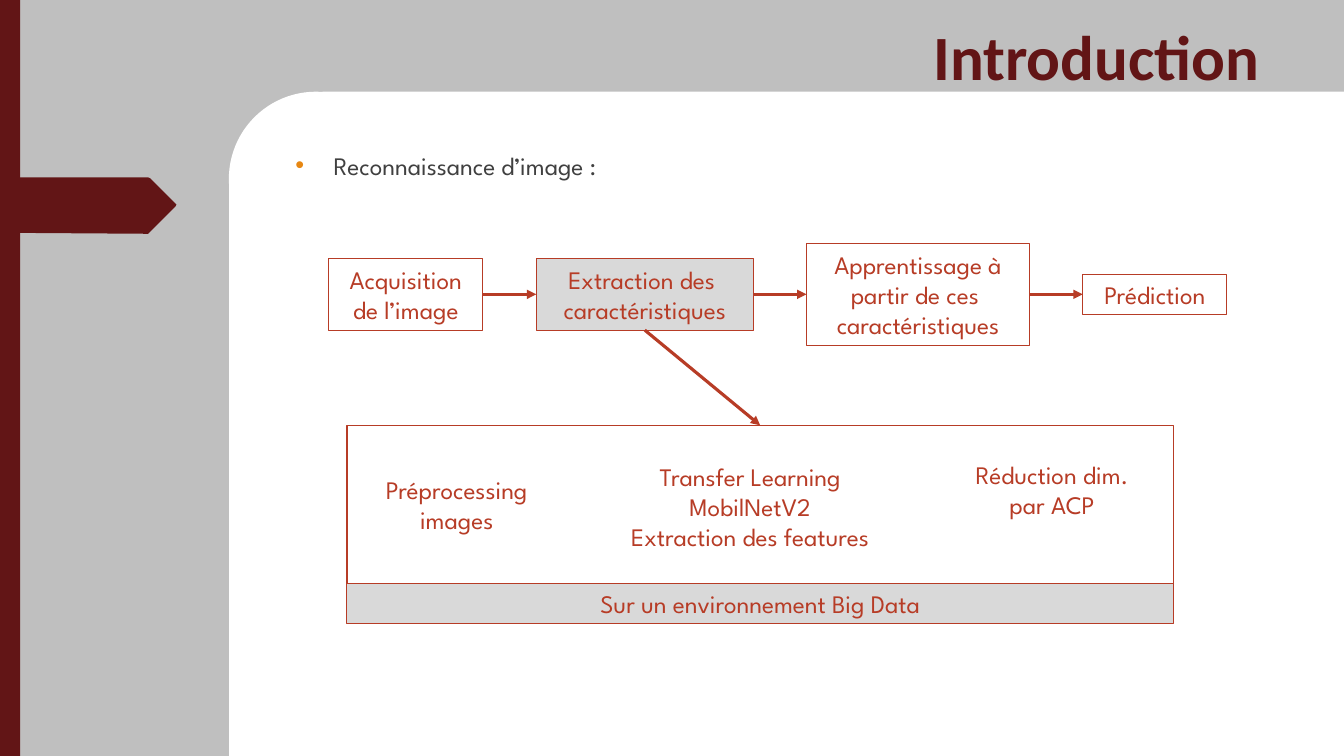
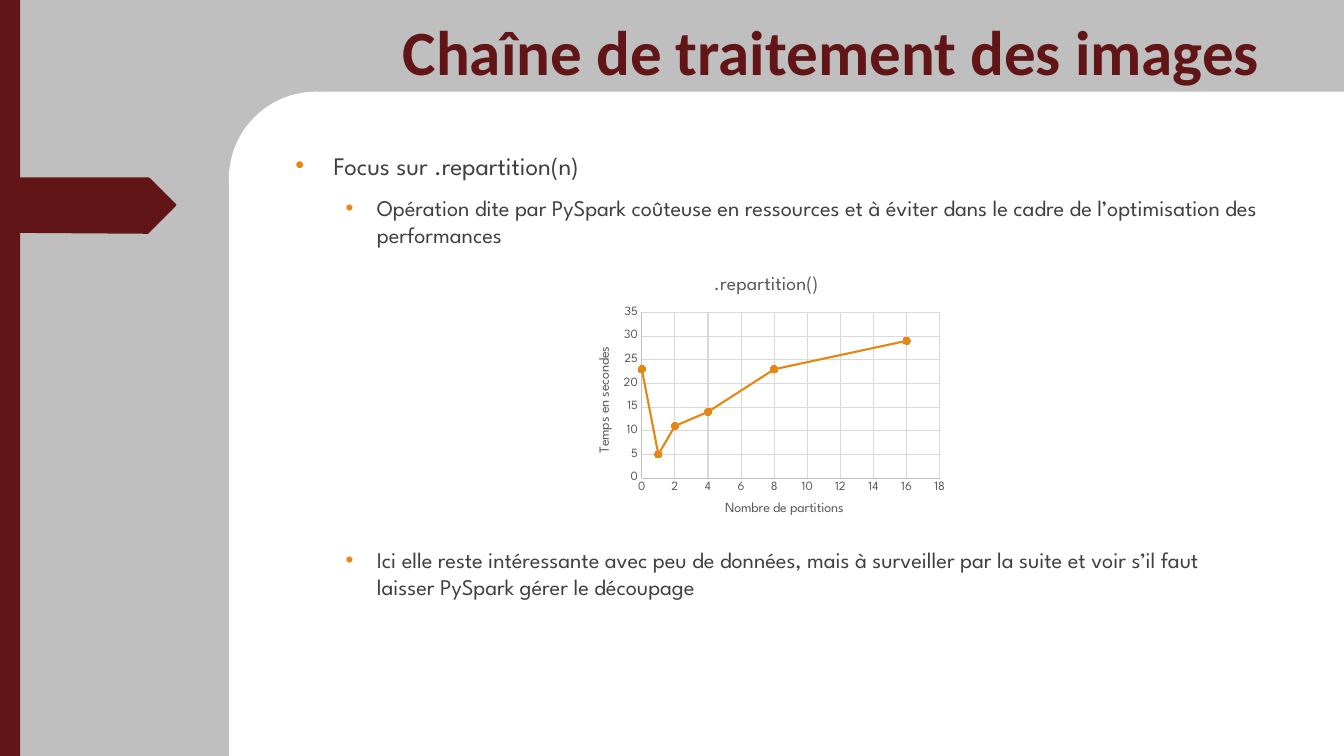
from dataclasses import dataclass

from lxml import etree
from pptx import Presentation
from pptx.chart.data import XyChartData
from pptx.dml.color import RGBColor
from pptx.enum.chart import XL_CHART_TYPE, XL_MARKER_STYLE, XL_TICK_MARK
from pptx.enum.shapes import MSO_CONNECTOR, MSO_SHAPE
from pptx.enum.text import MSO_ANCHOR, PP_ALIGN
from pptx.oxml.ns import qn
from pptx.util import Inches, Pt

RECTANGLE, ELLIPSE = MSO_SHAPE.RECTANGLE, MSO_SHAPE.OVAL
STRAIGHT = MSO_CONNECTOR.STRAIGHT
LEFT, CENTER, RIGHT = PP_ALIGN.LEFT, PP_ALIGN.CENTER, PP_ALIGN.RIGHT
TOP, MIDDLE = MSO_ANCHOR.TOP, MSO_ANCHOR.MIDDLE
SCATTER_LINES = XL_CHART_TYPE.XY_SCATTER_LINES
CIRCLE, NO_TICK = XL_MARKER_STYLE.CIRCLE, XL_TICK_MARK.NONE
SIDE_TOP, SIDE_LEFT, SIDE_BOTTOM, SIDE_RIGHT = range(4)


@dataclass(frozen=True)
class Theme:
    title_font: str = "Calibri"
    body_font: str = "League Spartan"
    white: str = "FFFFFF"
    band: str = "BFBFBF"
    dark_red: str = "621516"
    red: str = "B73C26"
    orange: str = "E78712"
    panel: str = "D9D9D9"
    text: str = "404040"
    chart_text: str = "595959"
    title_size: float = 45
    body_size: float = 18
    detail_size: float = 16
    chart_title_size: float = 14
    axis_title_size: float = 10
    tick_size: float = 9
    space_before: float = 10


TAG_OUTLINE = [(0, 1.76), (1.47, 1.76), (1.49, 1.77), (1.74, 2.02), (1.75, 2.03),
               (1.74, 2.05), (1.49, 2.3), (1.47, 2.32), (0, 2.31)]


def color(value):
    return RGBColor.from_string(value)


def inches(*values):
    return [Inches(value) for value in values]


def apply(target, values):
    for name, value in values.items():
        setattr(target, name, value)


class Deck:
    def __init__(self, theme):
        self.theme = theme
        self.deck = Presentation()
        self.deck.slide_width, self.deck.slide_height = inches(13.33, 7.5)
        self.page = None

    def new_page(self, title, title_top):
        theme = self.theme
        self.page = self.deck.slides.add_slide(self.deck.slide_layouts[6])
        for kind, at, fill in [
            (RECTANGLE, (0, -0.02, 2.27, 7.52), theme.band),
            (RECTANGLE, (2.01, 0.51, 1.19, 1.22), theme.band),
            (RECTANGLE, (1.97, -0.02, 11.38, 0.93), theme.band),
            (ELLIPSE, (2.27, 0.91, 1.73, 1.73), theme.white),
            (RECTANGLE, (0, 0, 0.2, 7.5), theme.dark_red),
        ]:
            self.shape(at, fill, kind=kind)
        self.tag()
        box = self.text_box((2.84, title_top, 9.75, 1.27))
        self.add_text(box.text_frame.paragraphs[0], title, theme.title_size,
                      theme.dark_red, theme.title_font, RIGHT, bold=True)

    def tag(self):
        points = [tuple(inches(*point)) for point in TAG_OUTLINE]
        builder = self.page.shapes.build_freeform(*points[0])
        builder.add_line_segments(points[1:])
        self.paint(builder.convert_to_shape(), self.theme.dark_red)

    def paint(self, shape, fill=None, line=None, width=0.75):
        shape.shadow.inherit = False
        for part, value in ((shape.fill, fill), (shape.line.fill, line)):
            if value:
                part.solid()
                part.fore_color.rgb = color(value)
            else:
                part.background()
        if line:
            shape.line.width = Pt(width)

    def shape(self, at, fill=None, line=None, width=0.75, kind=RECTANGLE):
        shape = self.page.shapes.add_shape(kind, *inches(*at))
        self.paint(shape, fill, line, width)
        return shape

    def text_box(self, at):
        box = self.page.shapes.add_textbox(*inches(*at))
        apply(box.text_frame, {"word_wrap": True, "vertical_anchor": TOP})
        return box

    def add_text(self, para, text, size, ink, font=None, align=LEFT, bold=False):
        para.alignment = align
        span = para.add_run()
        span.text = text
        self.style(span.font, size, ink, font, bold)

    def style(self, target, size, ink, font=None, bold=False):
        apply(target, {"name": font or self.theme.body_font, "size": Pt(size), "bold": bold})
        target.color.rgb = color(ink)

    def label(self, box, text):
        frame = box.text_frame
        apply(frame, {"word_wrap": False, "vertical_anchor": MIDDLE})
        for index, line in enumerate(text.split("\n")):
            para = frame.add_paragraph() if index else frame.paragraphs[0]
            self.add_text(para, line, self.theme.body_size, self.theme.red, align=CENTER)

    def box(self, at, text, fill=None):
        box = self.shape(at, fill, self.theme.red)
        self.label(box, text)
        return box

    def arrow(self, start, start_side, end, end_side):
        arrow = self.page.shapes.add_connector(STRAIGHT, 0, 0, 0, 0)
        arrow.begin_connect(start, start_side)
        arrow.end_connect(end, end_side)
        arrow.line.color.rgb = color(self.theme.red)
        arrow.line.width = Pt(2.25)
        outline = arrow._element.spPr.find(qn("a:ln"))
        etree.SubElement(outline, qn("a:tailEnd"), type="triangle")
        etree.SubElement(arrow._element.spPr, qn("a:effectLst"))

    def bullets(self, items):
        theme = self.theme
        frame = self.text_box((2.83, 1.44, 9.75, 5.02)).text_frame
        levels = [(theme.body_size, 0.38, -0.38), (theme.detail_size, 0.81, -0.31)]
        for index, (level, text, space) in enumerate(items):
            size, margin, indent = levels[level]
            para = frame.add_paragraph() if index else frame.paragraphs[0]
            self.add_text(para, text, size, theme.text)
            apply(para, {"level": level, "space_before": Pt(space)})
            properties = para._p.get_or_add_pPr()
            properties.set("marL", str(Inches(margin)))
            properties.set("indent", str(Inches(indent)))
            tint = etree.SubElement(properties, qn("a:buClr"))
            etree.SubElement(tint, qn("a:srgbClr"), val=theme.orange)
            etree.SubElement(properties, qn("a:buFont"), typeface="Arial")
            etree.SubElement(properties, qn("a:buChar"), char="•")

    def chart_title(self, owner, text, size):
        para = owner.text_frame.paragraphs[0]
        self.add_text(para, text, size, self.theme.chart_text, align=CENTER)

    def axis(self, axis, title, maximum, step):
        theme = self.theme
        apply(axis, {"minimum_scale": 0, "maximum_scale": maximum, "major_unit": step,
                     "major_tick_mark": NO_TICK, "minor_tick_mark": NO_TICK,
                     "has_major_gridlines": True})
        self.style(axis.tick_labels.font, theme.tick_size, theme.chart_text)
        for line, ink in ((axis.format.line, theme.band),
                          (axis.major_gridlines.format.line, theme.panel)):
            line.color.rgb = color(ink)
            line.width = Pt(0.75)
        self.chart_title(axis.axis_title, title, theme.axis_title_size)

    def scatter(self, at, title, points, x_axis, y_axis, plot):
        theme = self.theme
        data = XyChartData()
        values = data.add_series("Series 1")
        for x, y in points:
            values.add_data_point(x, y)
        chart = self.page.shapes.add_chart(SCATTER_LINES, *inches(*at), data).chart
        apply(chart, {"has_legend": False, "has_title": True})
        self.style(chart.font, theme.axis_title_size, theme.chart_text)
        self.chart_title(chart.chart_title, title, theme.chart_title_size)
        self.axis(chart.category_axis, *x_axis)
        self.axis(chart.value_axis, *y_axis)
        chart.plots[0].vary_by_categories = False
        series = chart.plots[0].series[0]
        series.smooth = False
        series.format.line.color.rgb = color(theme.orange)
        series.format.line.width = Pt(1.5)
        apply(series.marker, {"style": CIRCLE, "size": 5})
        self.paint_marker(series.marker.format)
        self.place_plot(chart, plot)

    def paint_marker(self, marker):
        marker.fill.solid()
        marker.fill.fore_color.rgb = color(self.theme.orange)
        marker.line.color.rgb = color(self.theme.orange)

    def place_plot(self, chart, plot):
        area = chart._chartSpace.find(".//" + qn("c:plotArea"))
        for old in area.findall(qn("c:layout")):
            area.remove(old)
        layout = etree.Element(qn("c:layout"))
        area.insert(0, layout)
        manual = etree.SubElement(layout, qn("c:manualLayout"))
        settings = [("layoutTarget", "inner"), ("xMode", "edge"), ("yMode", "edge")]
        for name, value in settings + list(zip("xywh", plot)):
            etree.SubElement(manual, qn("c:" + name), val=str(value))


def introduction(deck):
    theme = deck.theme
    deck.new_page("Introduction", 0.12)
    deck.bullets([(0, "Reconnaissance d’image :", theme.space_before)])

    left, gap, middle = 3.26, 0.53, 2.92
    steps = []
    for text, width, height, fill in [
        ("Acquisition\nde l’image", 1.53, 0.71, None),
        ("Extraction des \ncaractéristiques", 2.15, 0.71, theme.panel),
        ("Apprentissage à\npartir de ces \ncaractéristiques", 2.21, 1.01, None),
        ("Prédiction", 1.43, 0.4, None),
    ]:
        steps.append(deck.box((left, middle - height / 2, width, height), text, fill))
        left += width + gap
    for start, end in zip(steps, steps[1:]):
        deck.arrow(start, SIDE_RIGHT, end, SIDE_LEFT)

    for at, text in [
        ((3.58, 4.65, 1.9, 0.71), "Préprocessing\nimages"),
        ((5.95, 4.52, 2.98, 1.01), "Transfer Learning\nMobilNetV2\nExtraction des features"),
        ((9.4, 4.5, 2.07, 0.71), "Réduction dim.\npar ACP"),
    ]:
        deck.label(deck.text_box(at), text)
    details = deck.shape((3.44, 4.22, 8.2, 1.59), line=theme.red, width=1.25)
    deck.arrow(steps[1], SIDE_BOTTOM, details, SIDE_TOP)
    deck.box((3.44, 5.79, 8.2, 0.4), "Sur un environnement Big Data", theme.panel)


def processing_chain(deck):
    space = deck.theme.space_before
    chart_space = 213
    deck.new_page("Chaîne de traitement des images", 0.08)
    deck.bullets([
        (0, "Focus sur .repartition(n)", space),
        (1, "Opération dite par PySpark coûteuse en ressources et à éviter dans le cadre "
            "de l’optimisation des performances", space),
        (1, "Ici elle reste intéressante avec peu de données, mais à surveiller par la suite "
            "et voir s’il faut laisser PySpark gérer le découpage", chart_space),
    ])
    deck.scatter(
        (5.73, 2.58, 3.74, 2.74), ".repartition()",
        [(0, 23), (1, 5), (2, 11), (4, 14), (8, 23), (16, 29)],
        ("Nombre de partitions", 18, 2), ("Temps en secondes", 35, 5),
        (0.17, 0.19, 0.79, 0.6))


def main():
    deck = Deck(Theme())
    introduction(deck)
    processing_chain(deck)
    deck.deck.save("out.pptx")


if __name__ == "__main__":
    main()
